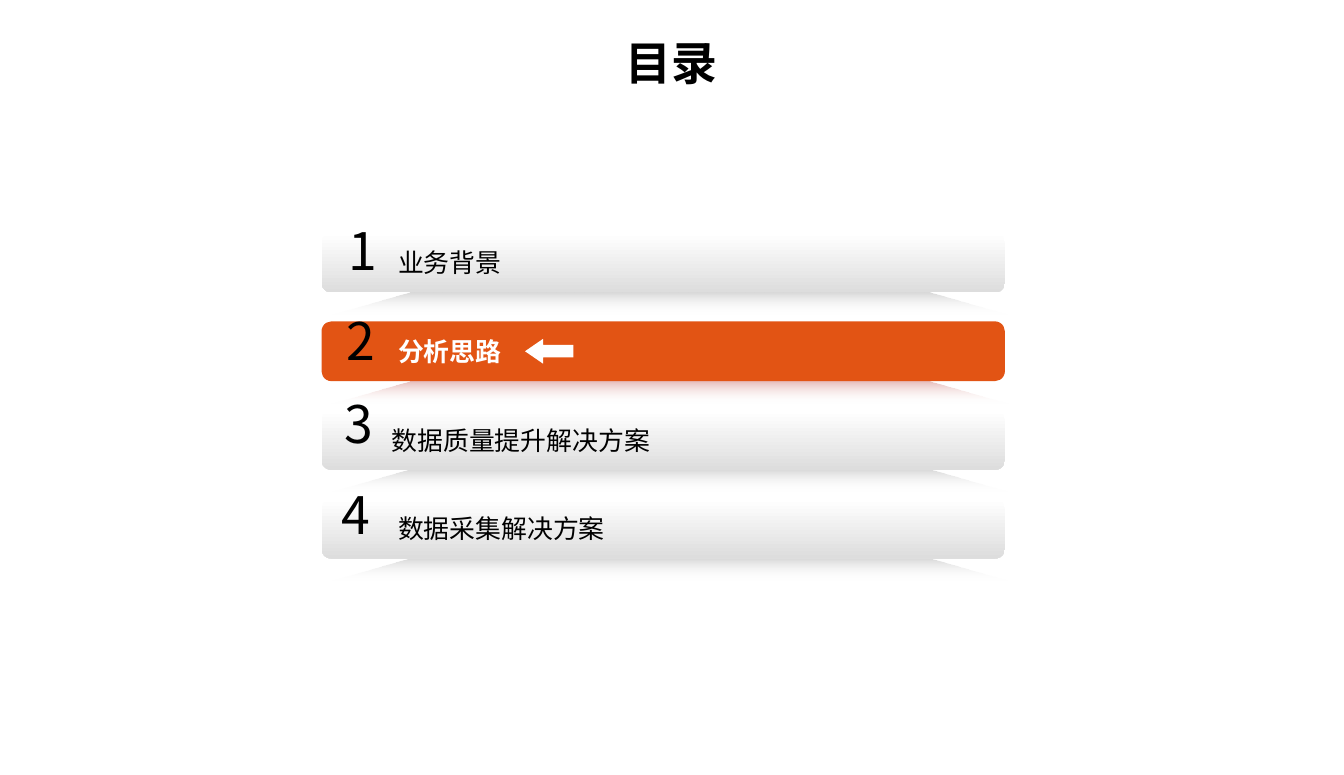
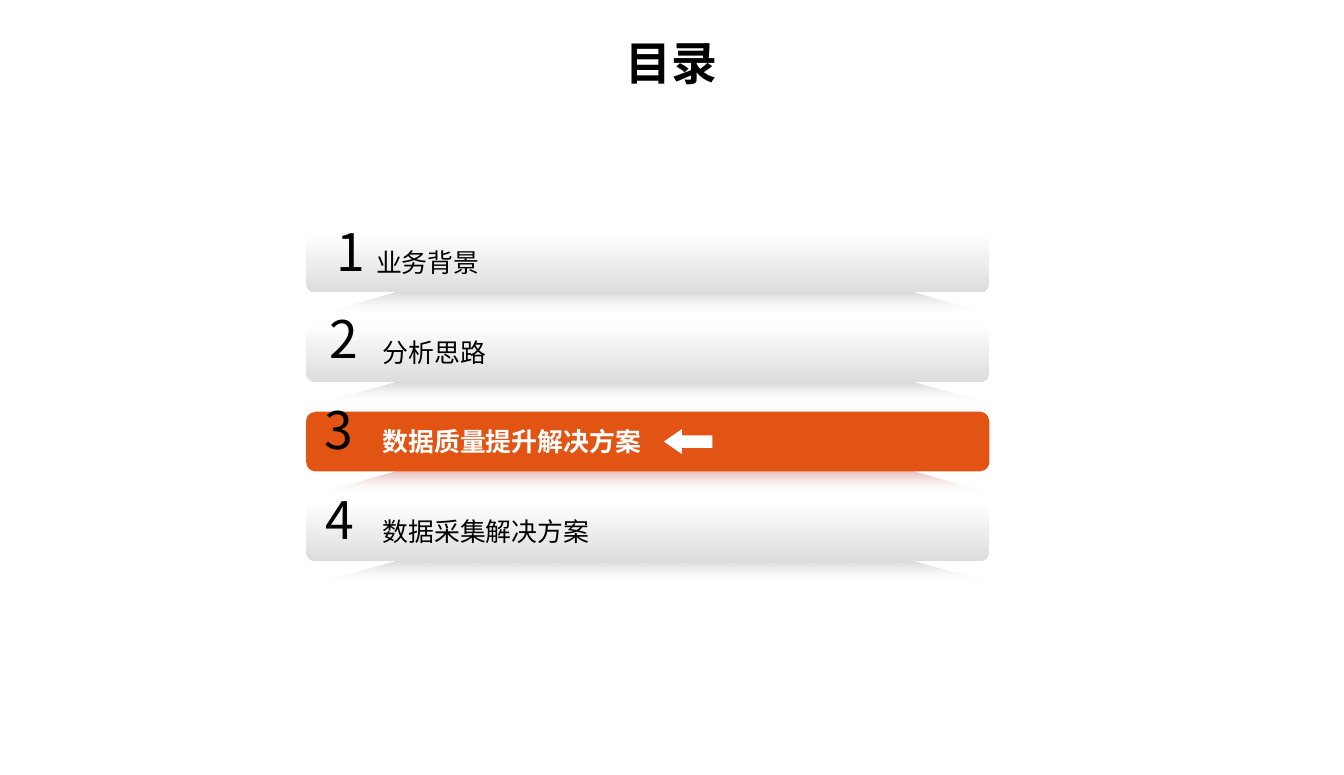
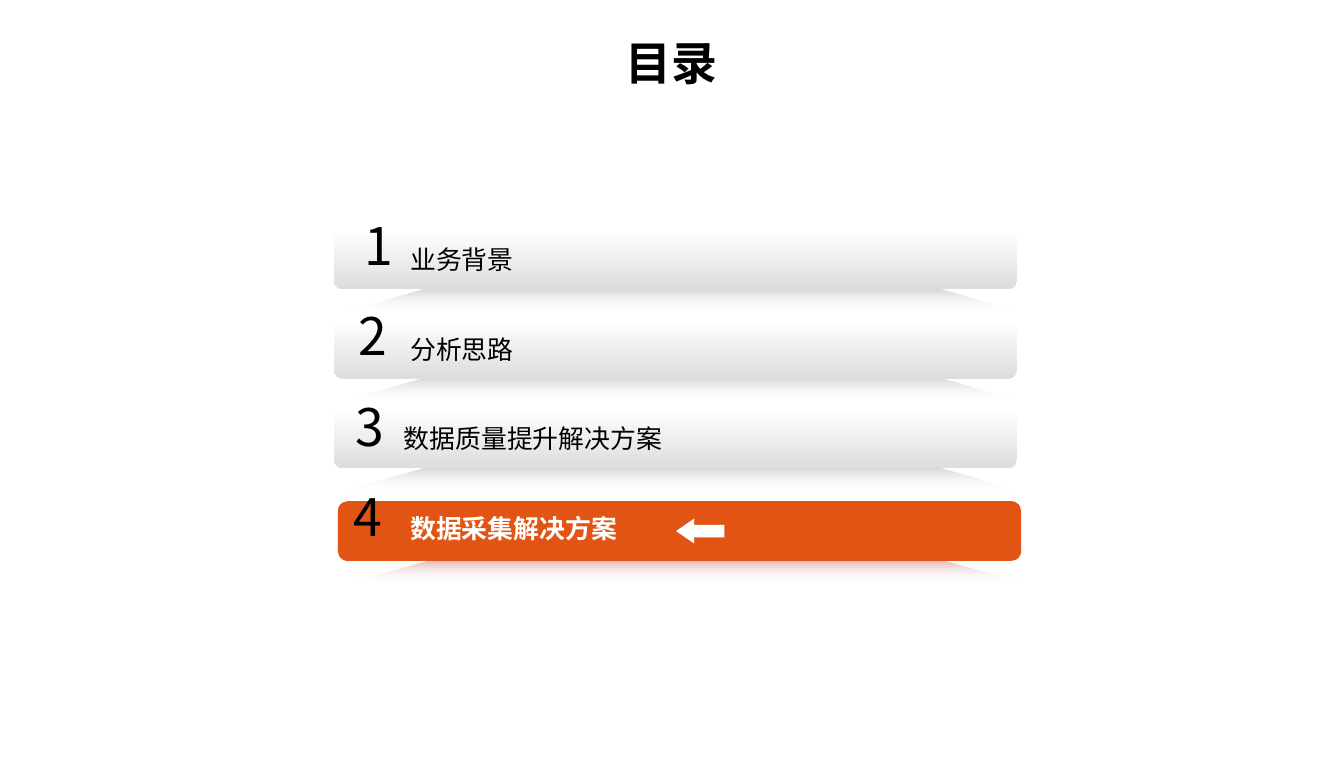
import lxml.etree
import pptx
import pptx.dml.color
import pptx.enum.shapes
import pptx.enum.text
import pptx.oxml.ns
import pptx.util

Cm = pptx.util.Cm
Pt = pptx.util.Pt
RGBColor = pptx.dml.color.RGBColor
SHAPE = pptx.enum.shapes.MSO_SHAPE
ALIGN = pptx.enum.text.PP_ALIGN
ANCHOR = pptx.enum.text.MSO_ANCHOR
AUTO_SIZE = pptx.enum.text.MSO_AUTO_SIZE
qn = pptx.oxml.ns.qn

TITLE = "目录"
CHAPTERS = ["业务背景", "分析思路", "数据质量提升解决方案", "数据采集解决方案"]

# Lengths in cm. "digits" holds each number's centre and top, counted from
# the corner of its row; "outdented" is the row whose label starts further left.
AGENDAS = [
    {"active": 1, "left": 7.9, "top": 5.72, "pitch": 2.18, "bar_shift": (0, 0),
     "arrow_left": 12.9, "outdented": 2,
     "digits": [(0.89, -0.23), (0.95, -0.2), (0.9, -0.33), (0.83, -0.27)]},
    {"active": 2, "left": 7.52, "top": 5.72, "pitch": 2.2, "bar_shift": (0, 0),
     "arrow_left": 16.31, "outdented": 0,
     "digits": [(0.97, -0.21), (0.93, -0.27), (0.81, -0.22), (0.83, -0.21)]},
    {"active": 3, "left": 8.2, "top": 5.64, "pitch": 2.2, "bar_shift": (0.1, 0.08),
     "arrow_left": 16.61, "outdented": 2,
     "digits": [(0.99, -0.26), (0.95, -0.27), (0.88, -0.23), (0.83, -0.2)]},
]

FONT = "Noto Sans CJK SC"
BLACK = RGBColor(0x00, 0x00, 0x00)
WHITE = RGBColor(0xFF, 0xFF, 0xFF)
GREY = RGBColor(0xDD, 0xDD, 0xDD)
ORANGE = RGBColor(0xE2, 0x54, 0x14)
RED = RGBColor(0xC0, 0x50, 0x4D)

BAR_W, BAR_H = 16.79, 1.47
LABEL_INDENT = 0.2
SHADOW_DX, SHADOW_DY = 0.2, 1.4
SHADOW_W, SHADOW_H, SHADOW_SLANT = 16.69, 0.61, 2.22
ARROW_W, ARROW_H = 1.19, 0.61
DIGIT_H = 1.07


def set_text(tf, text, size, color, bold=False, align=ALIGN.LEFT):
    p = tf.paragraphs[0]
    p.text = text
    p.alignment = align
    p.font.size = Pt(size)
    p.font.bold = bold
    p.font.color.rgb = color
    p.font.name = FONT
    lxml.etree.SubElement(p.font._rPr, qn("a:ea"), typeface=FONT)
    return p


def set_margins(tf, left, top, right, bottom):
    tf.margin_left, tf.margin_top = Cm(left), Cm(top)
    tf.margin_right, tf.margin_bottom = Cm(right), Cm(bottom)


def fill_gradient(sp, colors, opacities=()):
    """Fill from top to bottom; opacities are percentages, one per colour."""
    sp.fill.gradient()
    sp.fill.gradient_angle = 270
    for stop, color in zip(sp.fill.gradient_stops, colors):
        stop.color.rgb = color
    for clr, opacity in zip(sp._element.iter(qn("a:srgbClr")), opacities):
        lxml.etree.SubElement(clr, qn("a:alpha"), val=str(opacity * 1000))


def add_plain_shape(shapes, kind, left, top, width, height, adjustments):
    sp = shapes.add_shape(kind, Cm(left), Cm(top), Cm(width), Cm(height))
    for i, value in enumerate(adjustments):
        sp.adjustments[i] = value
    sp.shadow.inherit = False
    sp.line.fill.background()
    return sp


def add_bar(slide, left, top, active):
    """Group a bar with the trapezoid shadow that it casts below."""
    shapes = slide.shapes.add_group_shape().shapes
    x, y = left + SHADOW_DX, top + SHADOW_DY
    right, bottom = x + SHADOW_W, y + SHADOW_H
    outline = shapes.build_freeform(Cm(x), Cm(y))
    outline.add_line_segments([
        (Cm(x + SHADOW_SLANT), Cm(bottom)),
        (Cm(right - SHADOW_SLANT), Cm(bottom)),
        (Cm(right), Cm(y)),
    ])
    shadow = outline.convert_to_shape()
    shadow.rotation = 180
    shadow.shadow.inherit = False
    shadow.line.fill.background()
    tint, opacity = (RED, 50) if active else (BLACK, 20)
    fill_gradient(shadow, (WHITE, tint), (0, opacity))

    bar = add_plain_shape(shapes, SHAPE.ROUNDED_RECTANGLE,
                          left, top, BAR_W, BAR_H, [0.167])
    if active:
        bar.fill.solid()
        bar.fill.fore_color.rgb = ORANGE
    else:
        fill_gradient(bar, (WHITE, GREY))


def add_arrow(slide, left, bar_top):
    arrow = add_plain_shape(slide.shapes, SHAPE.LEFT_ARROW, left,
                            bar_top + (BAR_H - ARROW_H) / 2,
                            ARROW_W, ARROW_H, [0.503, 0.727])
    arrow.fill.solid()
    arrow.fill.fore_color.rgb = WHITE


def add_digit(slide, number, center, top):
    width = 0.46 if number == 1 else 0.69
    box = slide.shapes.add_textbox(Cm(center - width / 2), Cm(top),
                                   Cm(width), Cm(DIGIT_H))
    tf = box.text_frame
    tf.word_wrap = False
    set_margins(tf, 0, 0, 0, 0)
    p = set_text(tf, str(number), 36, BLACK, align=ALIGN.CENTER)
    p.line_spacing = 0.95


def add_label(slide, text, left, top, active, outdented):
    label = add_plain_shape(slide.shapes, SHAPE.ROUNDED_RECTANGLE,
                            left + LABEL_INDENT, top,
                            BAR_W - LABEL_INDENT, BAR_H, [0])
    label.fill.background()
    tf = label.text_frame
    tf.word_wrap = False
    tf.vertical_anchor = ANCHOR.MIDDLE
    set_margins(tf, 0.25 if outdented else 0.41, 0.13, 0.25, 0.13)
    p = set_text(tf, text, 18, WHITE if active else BLACK, bold=active)
    p.level = 1


def add_title(slide):
    title = slide.shapes.title
    title.left, title.top = Cm(1.65), Cm(0.76)
    title.width, title.height = Cm(29.72), Cm(1.52)
    tf = title.text_frame
    tf.auto_size = AUTO_SIZE.NONE
    tf.vertical_anchor = ANCHOR.MIDDLE
    set_margins(tf, 0.15, 0.08, 0.15, 0.08)
    set_text(tf, TITLE, 32, BLACK, bold=True, align=ALIGN.CENTER)


def add_agenda(prs, agenda):
    slide = prs.slides.add_slide(prs.slide_layouts[5])
    add_title(slide)
    left, active = agenda["left"], agenda["active"]
    dx, dy = agenda["bar_shift"]
    tops = [agenda["top"] + i * agenda["pitch"] for i in range(len(CHAPTERS))]

    add_bar(slide, left + dx, tops[active] + dy, True)
    for i, top in enumerate(tops):
        if i != active:
            add_bar(slide, left, top, False)
    add_arrow(slide, agenda["arrow_left"], tops[active] + dy)
    for i, (top, (x, y)) in enumerate(zip(tops, agenda["digits"])):
        add_digit(slide, i + 1, left + x, top + y)
    for i, (top, text) in enumerate(zip(tops, CHAPTERS)):
        add_label(slide, text, left, top, i == active, i == agenda["outdented"])


def main():
    prs = pptx.Presentation()
    prs.slide_width, prs.slide_height = Cm(33.02), Cm(19.05)
    for agenda in AGENDAS:
        add_agenda(prs, agenda)
    prs.save("out.pptx")


if __name__ == "__main__":
    main()
